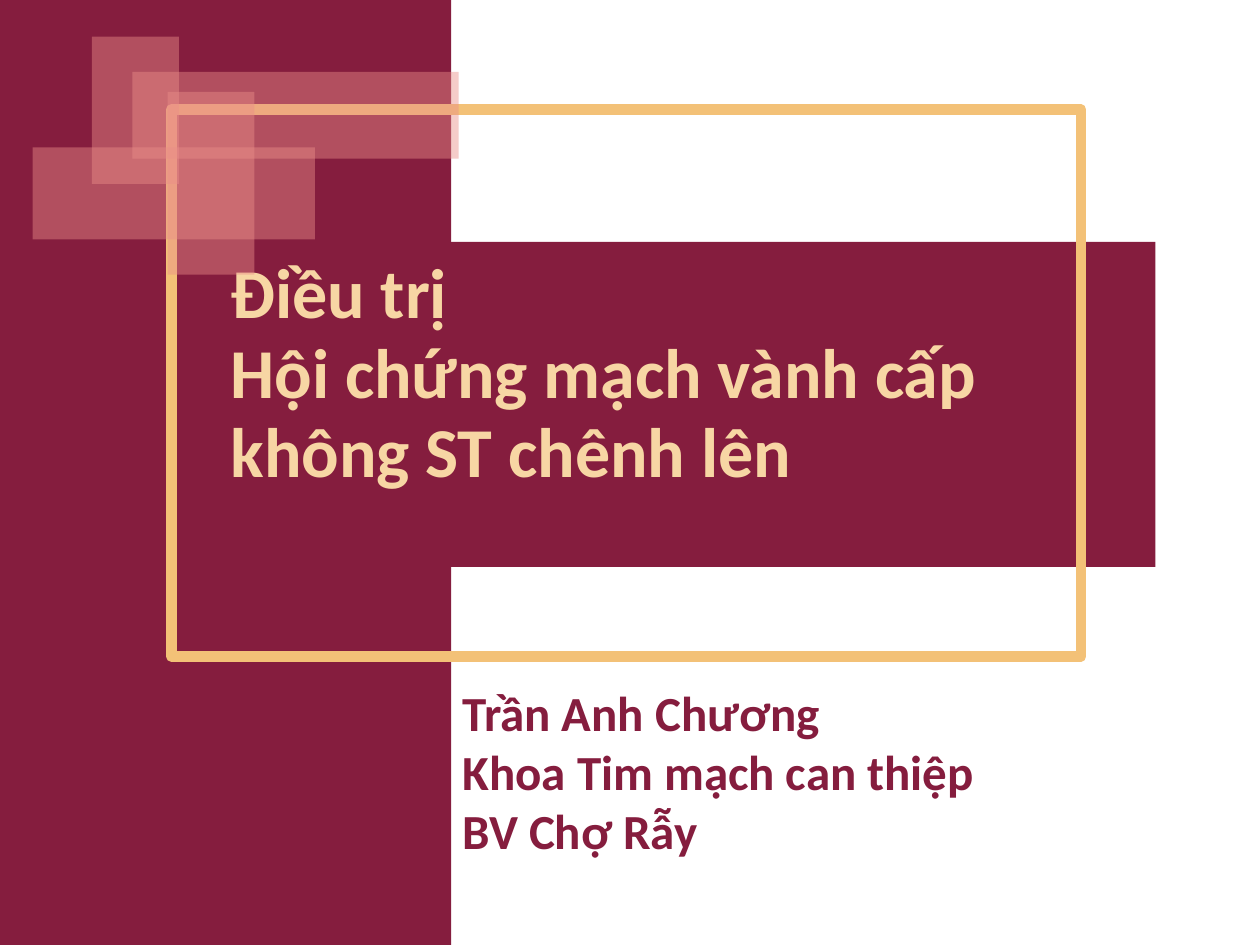
from pptx import Presentation, util as u
from pptx.dml.color import RGBColor
from pptx.enum import shapes, text
from pptx.oxml import parse_xml
from pptx.oxml.ns import nsdecls, qn

WINE = RGBColor(0x85, 0x1D, 0x3E)
GOLD = RGBColor(0xF3, 0xC1, 0x77)
CREAM = RGBColor(0xF7, 0xD6, 0xA4)
ROSE = RGBColor(0xEA, 0x8E, 0x89)
WIDE, HIGH = 10, 7.5

TITLE = ["Điều trị\vHội chứng mạch vành cấp không ST chênh lên"]
AUTHOR = ["Trần Anh Chương", "Khoa Tim mạch can thiệp", "BV Chợ Rẫy"]

# left, top, width, height in inches
BANDS = [(0.17, 1.92, 9, 2.58), (0, 0, 3.58, HIGH)]
FRAME = (1.36, 0.87, 7.22, 4.34)
TILES = [(1.05, 0.57, 2.59, 0.69), (0.26, 1.17, 2.24, 0.73),
         (0.73, 0.29, 0.69, 1.17), (1.33, 0.73, 0.69, 1.45)]


def place(item, box):
    item.left, item.top, item.width, item.height = map(u.Inches, box)


def add_rect(slide, box, fill=None, alpha=None):
    """Add a plain rectangle; alpha is the opacity in percent."""
    rect = slide.shapes.add_shape(shapes.MSO_SHAPE.RECTANGLE,
                                  *map(u.Inches, box))
    rect.shadow.inherit = False
    rect.line.fill.background()
    if fill is None:
        rect.fill.background()
        return rect
    rect.fill.solid()
    rect.fill.fore_color.rgb = fill
    if alpha:
        tone = rect.fill._xPr.find(".//" + qn("a:srgbClr"))
        tone.append(parse_xml(
            f'<a:alpha {nsdecls("a")} val="{alpha * 1000}"/>'))
    return rect


def add_frame(slide, box, color, width):
    frame = add_rect(slide, box)
    frame.line.color.rgb = color
    frame.line.width = u.Pt(width)
    frame.line._ln.append(parse_xml(f'<a:round {nsdecls("a")}/>'))


def write(item, lines, size, color, anchor, space=1.0):
    frame = item.text_frame
    frame.word_wrap = True
    frame.auto_size = text.MSO_AUTO_SIZE.NONE
    frame.vertical_anchor = anchor
    frame.margin_left = frame.margin_right = 0
    frame.margin_top = frame.margin_bottom = 0
    frame.text = "\n".join(lines)
    for par in frame.paragraphs:
        par.alignment = text.PP_ALIGN.LEFT
        par.space_before = u.Pt(0)
        par.line_spacing = space
        for run in par.runs:
            font = run.font
            font.name, font.size, font.bold = "Calibri", u.Pt(size), True
            font.color.rgb = color


def main():
    deck = Presentation()
    deck.slide_width, deck.slide_height = u.Inches(WIDE), u.Inches(HIGH)
    slide = deck.slides.add_slide(deck.slide_layouts[0])
    title, author = slide.placeholders

    for box in BANDS:
        add_rect(slide, box, WINE)
    for item in (title, author):  # bring the text above the bands
        slide.shapes._spTree.append(item._element)

    place(title, (1.83, 1.92, 6.92, 2))
    write(title, TITLE, 40, CREAM, text.MSO_ANCHOR.BOTTOM, space=0.95)
    place(author, (3.67, 5.42, 4.5, 1.41))
    write(author, AUTHOR, 28, WINE, text.MSO_ANCHOR.TOP)

    add_frame(slide, FRAME, GOLD, 6)
    for box in TILES:
        add_rect(slide, box, ROSE, alpha=45)
    deck.save("out.pptx")


if __name__ == "__main__":
    main()
